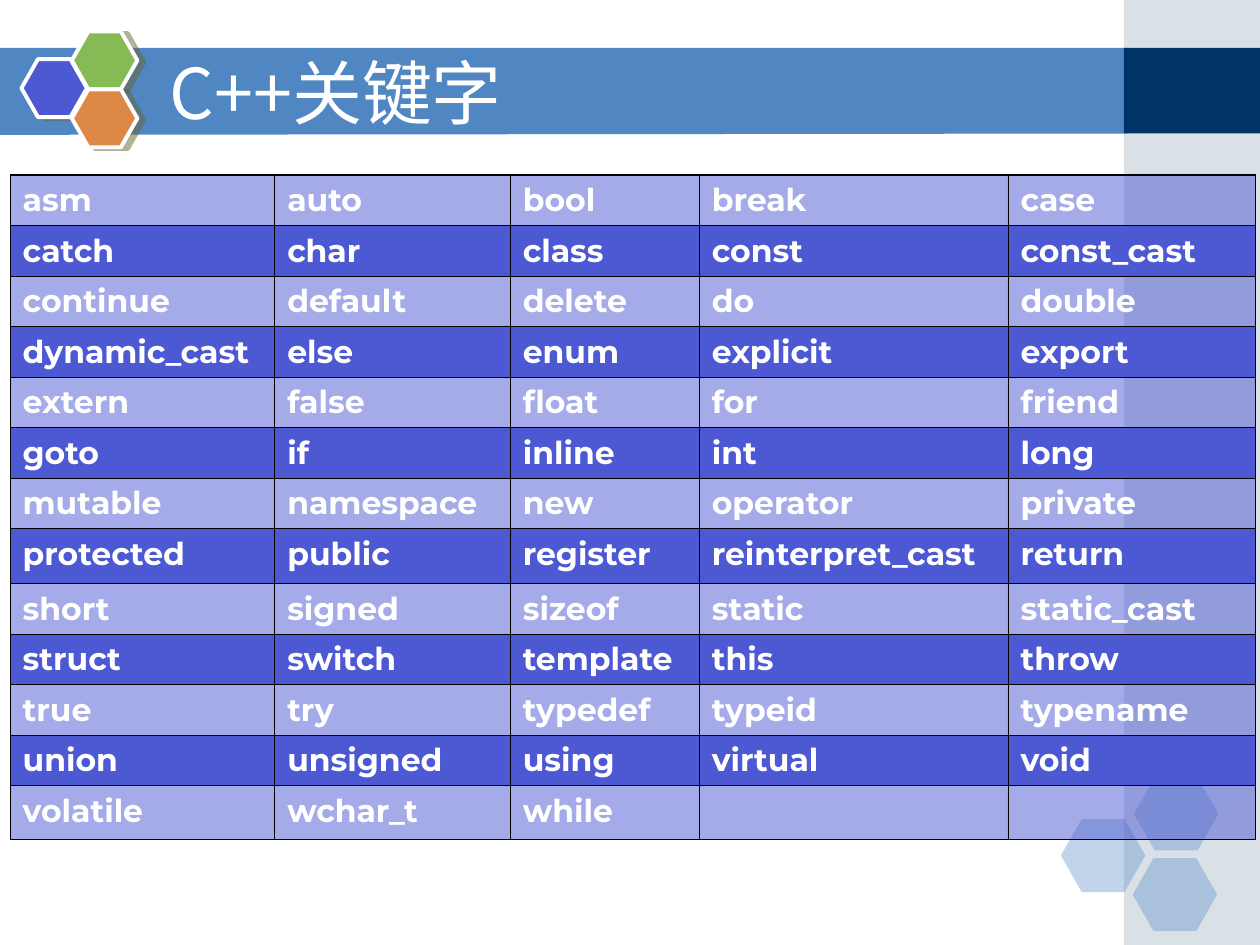
from dataclasses import dataclass

from lxml.etree import SubElement
from pptx import Presentation
from pptx.dml.color import RGBColor
from pptx.enum.shapes import MSO_SHAPE as Shape
from pptx.enum.text import MSO_ANCHOR as Anchor
from pptx.oxml.ns import qn
from pptx.util import Inches, Pt


@dataclass(frozen=True)
class Theme:
    white: str = "FFFFFF"
    black: str = "000000"
    band: str = "5086C2"
    side: str = "A0B5C4"
    navy: str = "003366"
    indigo: str = "4C59D2"
    green: str = "85BA54"
    orange: str = "DE8848"
    shadow: str = "666633"
    title_font: str = "Noto Sans CJK SC"
    keyword_font: str = "Montserrat"
    title_size: int = 40
    keyword_size: int = 18
    grid_line: float = 0.34
    frame_line: float = 0.96


KEYWORDS = """
asm auto bool break case
catch char class const const_cast
continue default delete do double
dynamic_cast else enum explicit export
extern false float for friend
goto if inline int long
mutable namespace new operator private
protected public register reinterpret_cast return
short signed sizeof static static_cast
struct switch template this throw
true try typedef typeid typename
union unsigned using virtual void
volatile wchar_t while
"""
COLUMN_WIDTHS = [2.1, 1.87, 1.5, 2.45, 1.96]
ROW_HEIGHTS = [0.4] * 7 + [0.44] + [0.4] * 4 + [0.43]


class SlideBuilder:
    def __init__(self, slide, theme):
        self.shapes = slide.shapes
        self.theme = theme

    def paint(self, fill, color, opacity=100):
        fill.solid()
        fill.fore_color.rgb = RGBColor.from_string(color)
        if opacity < 100:
            # The public fill object offers no transparency setting.
            srgb = fill._xPr.find(qn("a:solidFill")).find(qn("a:srgbClr"))
            SubElement(srgb, qn("a:alpha"), val=str(opacity * 1000))

    def block(self, kind, box, color, opacity=100):
        shape = self.shapes.add_shape(kind, *map(Inches, box))
        shape.shadow.inherit = False
        self.paint(shape.fill, color, opacity)
        shape.line.fill.background()
        return shape

    def polygon(self, points, color):
        start, *rest = [(Inches(x), Inches(y)) for x, y in points]
        builder = self.shapes.build_freeform(*start)
        builder.add_line_segments(rest, close=True)
        shape = builder.convert_to_shape()
        shape.shadow.inherit = False
        self.paint(shape.fill, color)
        shape.line.fill.background()

    def hexagon(self, box, color, opacity=100):
        shape = self.block(Shape.HEXAGON, box, color, opacity)
        shape.adjustments[0] = 0.285
        return shape

    def emblem_hexagon(self, box, color):
        """Add a hexagon with a white outline and a hard shadow."""
        shape = self.hexagon(box, color)
        shape.line.color.rgb = RGBColor.from_string(self.theme.white)
        shape.line.width = Pt(2.25)
        effects = shape._element.spPr.find(qn("a:effectLst"))
        shadow = SubElement(effects, qn("a:outerShdw"), blurRad="0",
                            dist=str(Pt(4.1)), dir=str(14 * 60000),
                            algn="ctr", rotWithShape="0")
        tint = SubElement(shadow, qn("a:srgbClr"), val=self.theme.shadow)
        SubElement(tint, qn("a:alpha"), val="50000")

    def add_text(self, paragraph, text, font_name, size, bold=False):
        run = paragraph.add_run()
        run.text = text
        font = run.font
        font.size, font.bold, font.name = Pt(size), bold, font_name
        font.color.rgb = RGBColor.from_string(self.theme.white)
        SubElement(run._r.get_or_add_rPr(), qn("a:ea"), typeface=font_name)

    def title(self, box, text):
        frame = self.shapes.add_textbox(*map(Inches, box)).text_frame
        frame.word_wrap = True
        frame.vertical_anchor = Anchor.MIDDLE
        self.add_text(frame.paragraphs[0], text, self.theme.title_font, self.theme.title_size)

    def borders(self, cell, top, bottom):
        grid = self.theme.grid_line
        properties = cell._tc.get_or_add_tcPr()
        for side, width in zip("LRTB", (grid, grid, top, bottom)):
            line = SubElement(properties, qn(f"a:ln{side}"), w=str(Pt(width)))
            fill = SubElement(line, qn("a:solidFill"))
            SubElement(fill, qn("a:srgbClr"), val=self.theme.black)

    def keyword_table(self, left, top, rows):
        theme = self.theme
        table = self.shapes.add_table(
            len(rows), len(COLUMN_WIDTHS), Inches(left), Inches(top),
            Inches(sum(COLUMN_WIDTHS)), Inches(sum(ROW_HEIGHTS))).table
        table.first_row = table.horz_banding = False
        for column, width in zip(table.columns, COLUMN_WIDTHS):
            column.width = Inches(width)
        last = len(rows) - 1
        for index, (row, height, words) in enumerate(zip(table.rows, ROW_HEIGHTS, rows)):
            row.height = Inches(height)
            top_line = theme.frame_line if index == 0 else theme.grid_line
            bottom_line = theme.frame_line if index == last else theme.grid_line
            for cell in row.cells:
                self.borders(cell, top_line, bottom_line)
                self.paint(cell.fill, theme.indigo, 100 if index % 2 else 50)
            for cell, word in zip(row.cells, words):
                paragraph = cell.text_frame.paragraphs[0]
                indent = paragraph._p.get_or_add_pPr()
                indent.set("marL", str(Inches(0.38)))
                indent.set("indent", str(Inches(-0.38)))
                self.add_text(paragraph, word, theme.keyword_font, theme.keyword_size, bold=True)


def main():
    deck = Presentation()
    deck.slide_width, deck.slide_height = Inches(10), Inches(7.5)
    theme = Theme()
    page = SlideBuilder(deck.slides.add_slide(deck.slide_layouts[6]), theme)

    page.polygon([(-0.01, 0.38), (8.95, 0.38), (8.95, 1.06), (-0.01, 1.07)], theme.band)
    page.block(Shape.RECTANGLE, (8.92, 0, 1.08, 7.5), theme.side, 40)
    page.block(Shape.RECTANGLE, (8.92, 0.38, 1.08, 0.68), theme.navy)
    for left, top in [(8.42, 6.5), (9, 6.17), (8.99, 6.81)]:
        page.hexagon((left, top, 0.67, 0.58), theme.band, 35)
    for left, top, color in [(0.17, 0.47, theme.indigo), (0.57, 0.25, theme.green),
                             (0.57, 0.71, theme.orange)]:
        page.emblem_hexagon((left, top, 0.52, 0.46), color)

    page.title((1.25, 0.42, 8.32, 0.62), "C++关键字")
    page.keyword_table(0.08, 1.39, [line.split() for line in KEYWORDS.strip().splitlines()])
    deck.save("out.pptx")


if __name__ == "__main__":
    main()
